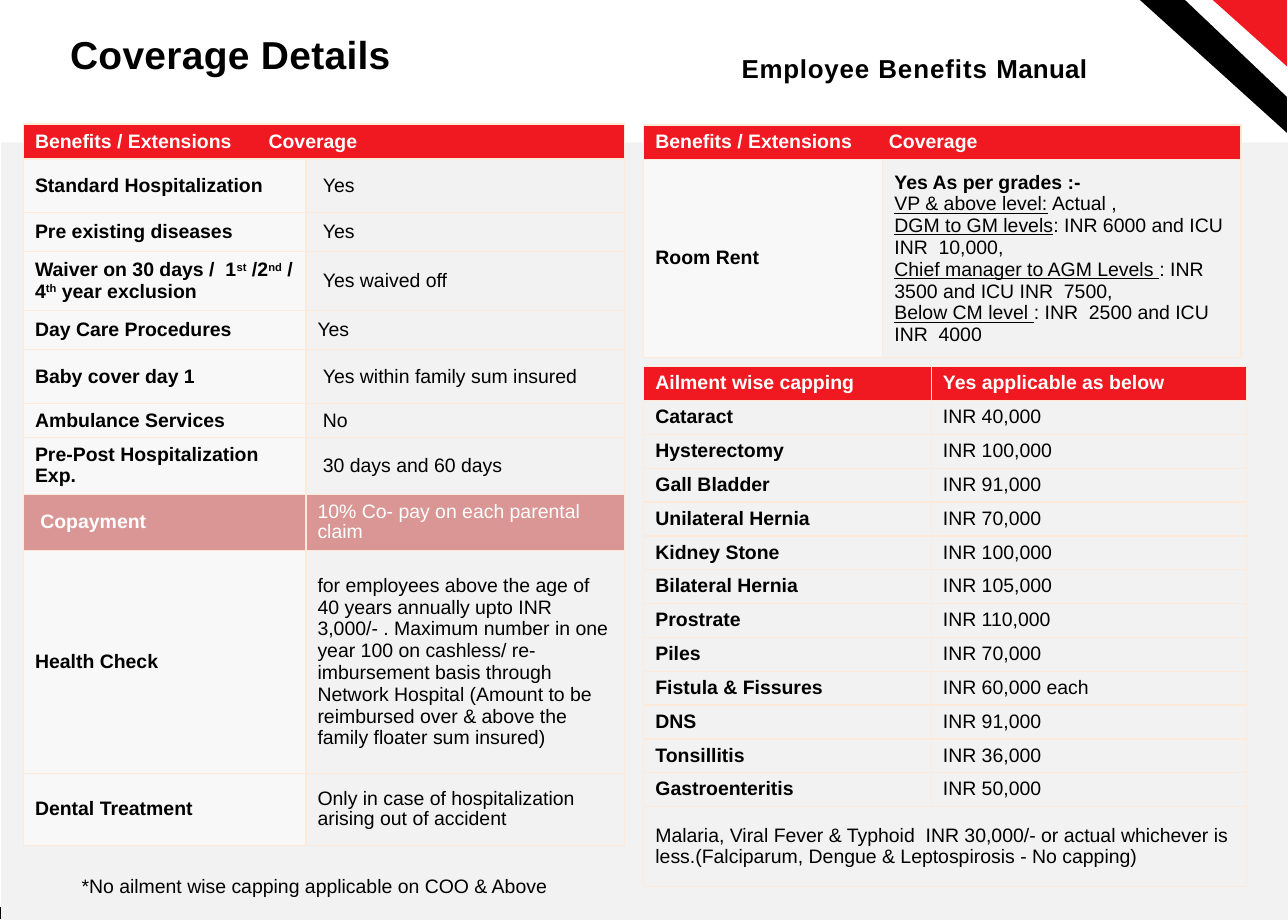
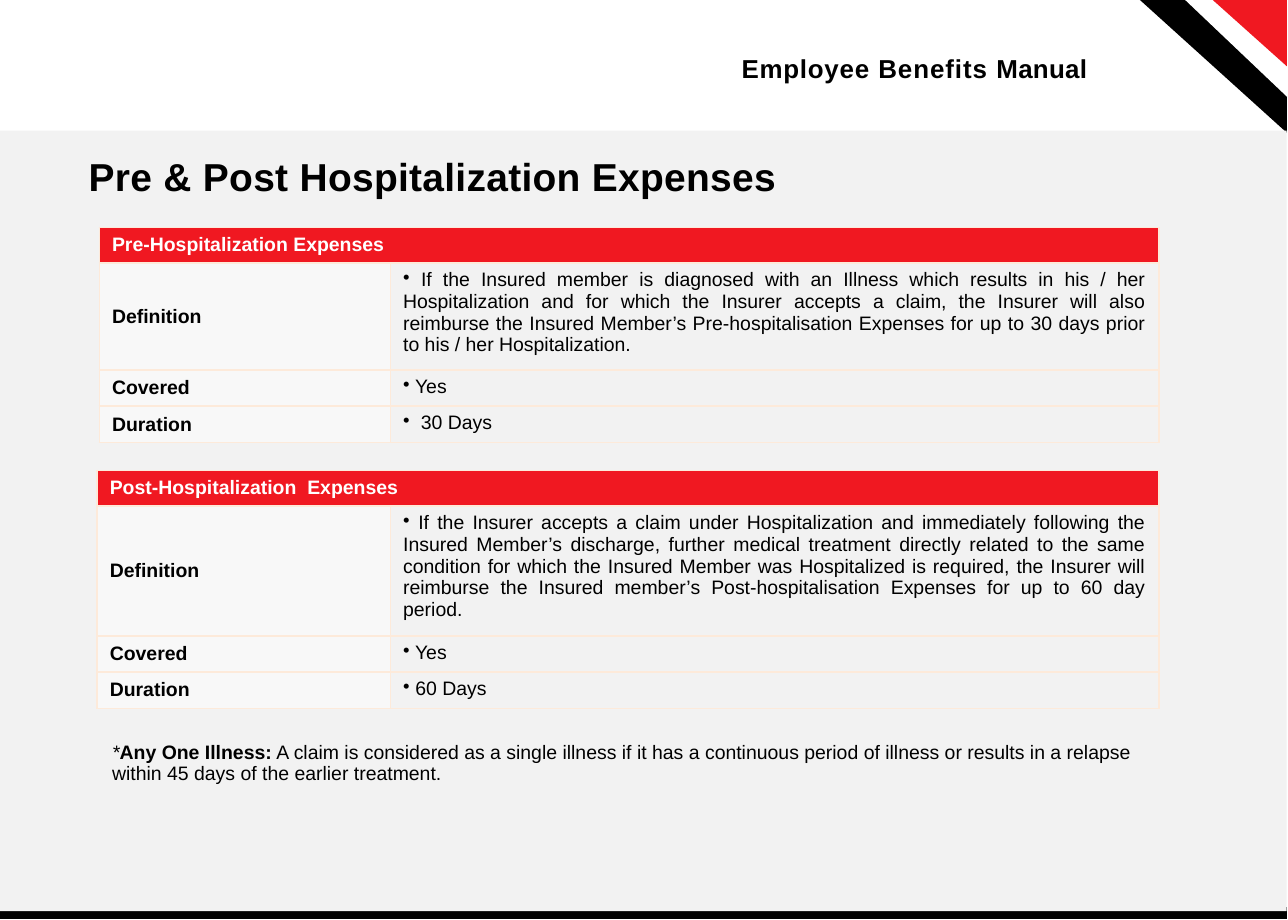
from dataclasses import dataclass
from functools import partial

from lxml import etree
from pptx import Presentation
from pptx.dml.color import RGBColor
from pptx.enum.shapes import MSO_SHAPE
from pptx.enum.text import MSO_ANCHOR, MSO_AUTO_SIZE, PP_ALIGN
from pptx.oxml.ns import qn
from pptx.util import Pt

RECTANGLE = MSO_SHAPE.RECTANGLE
TOP, MIDDLE = MSO_ANCHOR.TOP, MSO_ANCHOR.MIDDLE
NO_AUTOFIT = MSO_AUTO_SIZE.NONE
LEFT, JUSTIFY = PP_ALIGN.LEFT, PP_ALIGN.JUSTIFY


@dataclass(frozen=True)
class Theme:
    font: str = "Arial"
    black: str = "000000"
    white: str = "FFFFFF"
    red: str = "F01821"
    rose: str = "D99694"
    panel: str = "F2F2F2"
    border: str = "FDEADA"
    title_size: int = 24
    header_size: int = 16
    body_size: int = 12


theme = Theme()


@dataclass
class Cell:
    """One table cell; text is a string or a list of paragraphs of runs."""
    text: object
    bold: bool = False
    color: str = theme.black
    fill: str = ""
    opacity: int = 100
    anchor: object = MIDDLE
    align: object = LEFT
    indent: float = 0
    tab: float = 0
    bullet: bool = False
    line_spacing: float = 1.0


def write(paragraph, runs, size=theme.body_size, color=theme.black, bold=False):
    """Add (text, marks) runs; marks are font properties or the raw spc and baseline."""
    for text, marks in runs:
        run = paragraph.add_run()
        run.text = text
        font = run.font
        font.name, font.size, font.bold = theme.font, Pt(size), bold
        font.color.rgb = RGBColor.from_string(color)
        for mark, setting in marks.items():
            if mark in ("spc", "baseline"):
                run._r.get_or_add_rPr().set(mark, str(setting))
            else:
                setattr(font, mark, setting)


def draw_table(slide, left, top, widths, heights, rows, inset=7.2):
    """Draw rows of Cells; a row with a single Cell spans both columns."""
    table = slide.shapes.add_table(len(rows), len(widths), Pt(left), Pt(top),
                                   Pt(sum(widths)), Pt(sum(heights))).table
    table.first_row = table.horz_banding = False
    for column, width in zip(table.columns, widths):
        column.width = Pt(width)
    for r, (content, height) in enumerate(zip(rows, heights)):
        table.rows[r].height = Pt(height)
        if len(content) == 1:
            table.cell(r, 0).merge(table.cell(r, len(widths) - 1))
        for c in range(len(widths)):
            cell = table.cell(r, c)
            properties = cell._tc.get_or_add_tcPr()
            for i, side in enumerate(("lnL", "lnR", "lnT", "lnB")):
                line = etree.Element(qn("a:" + side), w=str(Pt(1)))
                paint = etree.SubElement(line, qn("a:solidFill"))
                etree.SubElement(paint, qn("a:srgbClr"), val=theme.border)
                properties.insert(i, line)
            if c >= len(content):
                continue
            part = content[c]
            cell.margin_left = cell.margin_right = Pt(inset)
            cell.margin_top = cell.margin_bottom = Pt(3.6)
            cell.vertical_anchor = part.anchor
            if part.fill:
                cell.fill.solid()
                cell.fill.fore_color.rgb = RGBColor.from_string(part.fill)
                if part.opacity < 100:
                    tint = properties.find(qn("a:solidFill")).find(qn("a:srgbClr"))
                    etree.SubElement(tint, qn("a:alpha"), val=str(part.opacity * 1000))
            else:
                cell.fill.background()
            paragraphs = [[(part.text, {})]] if isinstance(part.text, str) else part.text
            for i, runs in enumerate(paragraphs):
                frame = cell.text_frame
                paragraph = frame.paragraphs[0] if i == 0 else frame.add_paragraph()
                settings = paragraph._p.get_or_add_pPr()
                if part.bullet:
                    etree.SubElement(settings, qn("a:buChar"), char="•")
                if part.tab:
                    stops = etree.SubElement(settings, qn("a:tabLst"))
                    etree.SubElement(stops, qn("a:tab"), pos=str(Pt(part.tab)), algn="l")
                settings.set("marL", str(Pt(part.indent)))
                settings.set("indent", "0")
                paragraph.alignment = part.align
                paragraph.line_spacing = part.line_spacing
                write(paragraph, runs, color=part.color, bold=part.bold)


heading = partial(Cell, bold=True, color=theme.white, fill=theme.red)
label = partial(Cell, bold=True, fill=theme.white, opacity=50)
copay = partial(Cell, color=theme.white, fill=theme.rose, line_spacing=0.95)
ailment = partial(Cell, fill=theme.panel, line_spacing=0.95)
spaced = partial(Cell, indent=3.3)
bulleted = partial(Cell, bullet=True, anchor=TOP)

deck = Presentation()
deck.slide_width, deck.slide_height = Pt(794.16), Pt(567.36)
layout = deck.slide_layouts[5]

# Title, title position and grey panel of each slide
slides = []
for title_text, title_box, panel_box in (
    ("Coverage Details", (43.2, 15.8, 708, 60), (0.7, 87.8, 793.5, 481.7)),
    ("Pre & Post Hospitalization Expenses", (54.7, 91.4, 708, 30), (0, 80.6, 793.3, 481.3)),
):
    slide = deck.slides.add_slide(layout)
    slides.append(slide)
    panel = slide.shapes.add_shape(RECTANGLE, *map(Pt, panel_box))
    panel.shadow.inherit = False
    panel.fill.solid()
    panel.fill.fore_color.rgb = RGBColor.from_string(theme.panel)
    panel.line.fill.background()
    slide.shapes._spTree.insert(2, panel._element)

    title = slide.shapes.title
    title.left, title.top, title.width, title.height = map(Pt, title_box)
    frame = title.text_frame
    frame.auto_size, frame.word_wrap, frame.vertical_anchor = NO_AUTOFIT, True, TOP
    frame.margin_left = frame.margin_right = frame.margin_bottom = 0
    frame.margin_top = Pt(3)
    frame.paragraphs[0].alignment = LEFT
    write(frame.paragraphs[0], [(title_text, {"spc": 20})], theme.title_size, bold=True)

coverage, expenses = slides

# Shared decoration: built once, then moved to the layout
right = 793.5
decoration = []
for color, points in (
    (theme.black, ((0, 566.6), (right, 566.6), (right, 559.4), (0, 559.4))),
    (theme.black, ((775.5, 0), (702.9, 0), (right, 81.9), (right, 17.2))),
    (theme.white, ((right, 0), (730.8, 0), (right, 59.6))),
    (theme.red, ((right, 0), (747.8, 0), (right, 40.9))),
):
    corners = [(Pt(x), Pt(y)) for x, y in points]
    builder = coverage.shapes.build_freeform(*corners[0])
    builder.add_line_segments(corners[1:], close=True)
    band = builder.convert_to_shape()
    band.shadow.inherit = False
    band.fill.solid()
    band.fill.fore_color.rgb = RGBColor.from_string(color)
    band.line.fill.background()
    decoration.append(band)

manual_name = coverage.shapes.add_textbox(Pt(457.2), Pt(30.2), Pt(290), Pt(20))
frame = manual_name.text_frame
frame.margin_left = frame.margin_right = frame.margin_bottom = 0
frame.margin_top = Pt(2)
frame.word_wrap = True
write(frame.paragraphs[0],
      [("Employee ", {"spc": 50}), ("Benefits ", {"spc": 60}), ("Manual", {"spc": 20})],
      theme.header_size, bold=True)
decoration.append(manual_name)
for shape_id, item in enumerate(decoration, 20):
    item._element.nvSpPr.cNvPr.set("id", str(shape_id))
    layout.shapes._spTree.append(item._element)

# Coverage Details
under, raised = {"underline": True}, {"baseline": 30000}
room_rent = [
    [("Yes As per grades :-", {"bold": True})],
    [("VP & above level:", under), (" Actual ,", {})],
    [("DGM to GM levels", under), (": INR 6000 and ICU INR  10,000,", {})],
    [("Chief manager to AGM Levels ", under), (": INR 3500 and ICU INR  7500,", {})],
    [("Below CM level ", under), (": INR  2500 and ICU INR  4000", {})],
]
draw_table(coverage, 396.9, 77.2, (147.4, 221), (21.3, 122), [
    [heading("Benefits / Extensions\tCoverage", tab=184.6, line_spacing=0.95)],
    [label("Room Rent", line_spacing=0.95), Cell(room_rent)],
])

waiver = [[("Waiver on 30 days /  1", {}), ("st", raised), (" /2", {}), ("nd", raised),
           (" / 4", {}), ("th", raised), (" year exclusion", {})]]
health_check = (
    "for employees above the age of 40 years annually upto INR 3,000/- . Maximum number "
    "in one year 100 on cashless/ re-imbursement basis through Network Hospital (Amount "
    "to be reimbursed over & above the family floater sum insured)")
draw_table(
    coverage, 14.4, 76.4, (174.2, 196.6),
    (21.6, 33, 24.2, 36.2, 24.2, 33.2, 21.2, 35, 34.5, 137.5, 44.4), [
        [heading("Benefits / Extensions\tCoverage", tab=140.9)],
        [label("Standard Hospitalization"), spaced("Yes")],
        [label("Pre existing diseases"), spaced("Yes")],
        [label(waiver), spaced("Yes waived off")],
        [label("Day Care Procedures"), Cell("Yes")],
        [label("Baby cover day 1"), spaced("Yes within family sum insured")],
        [label("Ambulance Services"), spaced("No")],
        [label("Pre-Post Hospitalization Exp.", line_spacing=0.95),
         spaced("30 days and 60 days", line_spacing=0.95)],
        [copay("Copayment", bold=True, indent=3.3),
         copay("10% Co- pay on each parental claim")],
        [label("Health Check"), Cell(health_check)],
        [label("Dental Treatment", line_spacing=0.95),
         Cell("Only in case of hospitalization arising out of accident", line_spacing=0.95)],
    ])

caps = (
    ("Cataract", "40,000"), ("Hysterectomy", "100,000"), ("Gall Bladder", "91,000"),
    ("Unilateral Hernia", "70,000"), ("Kidney Stone", "100,000"),
    ("Bilateral Hernia", "105,000"), ("Prostrate", "110,000"), ("Piles", "70,000"),
    ("Fistula & Fissures", "60,000 each"), ("DNS", "91,000"), ("Tonsillitis", "36,000"),
    ("Gastroenteritis", "50,000"),
)
draw_table(
    coverage, 396.9, 226.2, (177.3, 194.4), [20.87] * (len(caps) + 1) + [49.2],
    [[heading("Ailment wise capping", line_spacing=0.95),
      heading("Yes applicable as below", line_spacing=0.95)]]
    + [[ailment(name, bold=True), ailment("INR " + cap)] for name, cap in caps]
    + [[ailment("Malaria, Viral Fever & Typhoid  INR 30,000/- or actual whichever is "
                "less.(Falciparum, Dengue & Leptospirosis - No capping)")]])

# Pre & Post Hospitalization Expenses
pre_definition = (
    " If the Insured member is diagnosed with an Illness which results in his / her "
    "Hospitalization and for which the Insurer accepts a claim, the Insurer will also "
    "reimburse the Insured Member’s Pre-hospitalisation Expenses for up to 30 days prior "
    "to his / her Hospitalization.")
post_definition = (
    " If the Insurer accepts a claim under Hospitalization and immediately following the "
    "Insured Member’s discharge, further medical treatment directly related to the same "
    "condition for which the Insured Member was Hospitalized is required, the Insurer will "
    "reimburse the Insured member’s Post-hospitalisation Expenses for up to 60 day period.")
for left, top, label_width, definition_height, name, definition, duration in (
    (59.8, 290.2, 180.9, 80.2, "Post-Hospitalization  Expenses", post_definition, " 60 Days"),
    (61.2, 140.4, 179.5, 66, "Pre-Hospitalization Expenses", pre_definition, "  30 Days"),
):
    draw_table(expenses, left, top, (label_width, 474), (21.8, definition_height, 22.3, 22.3), [
        [heading(name, anchor=TOP)],
        [label("Definition"), bulleted(definition, align=JUSTIFY)],
        [label("Covered"), bulleted(" Yes")],
        [label("Duration"), bulleted(duration)],
    ], inset=7.9)

# Footnotes
for slide, box, inset, spacing, runs in (
    (coverage, (43.2, 535.7, 341.3, 21.6), 7.2, 1.0,
     [("*No ailment wise capping applicable on COO & Above", {})]),
    (expenses, (61.2, 454.3, 653.8, 33.8), 7.9, 0.9,
     [("*", {"italic": True}), ("Any One Illness:", {"bold": True}),
      (" A claim is considered as a single illness if it has a continuous period of illness "
       "or results in a relapse within 45 days of the earlier treatment.", {})]),
):
    frame = slide.shapes.add_textbox(*map(Pt, box)).text_frame
    frame.word_wrap = True
    frame.margin_left = frame.margin_right = Pt(inset)
    frame.paragraphs[0].line_spacing = spacing
    write(frame.paragraphs[0], runs)

deck.save("out.pptx")
